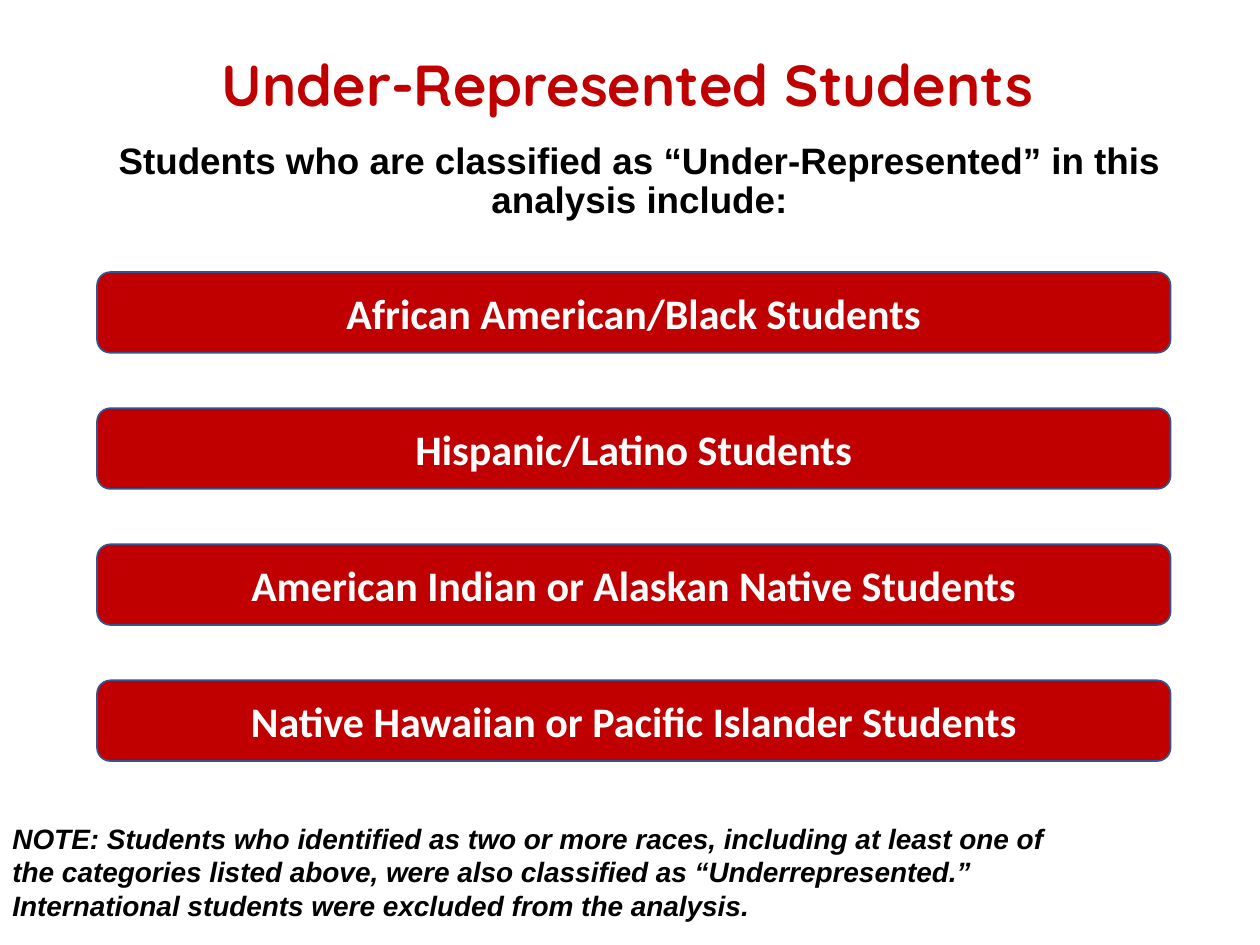
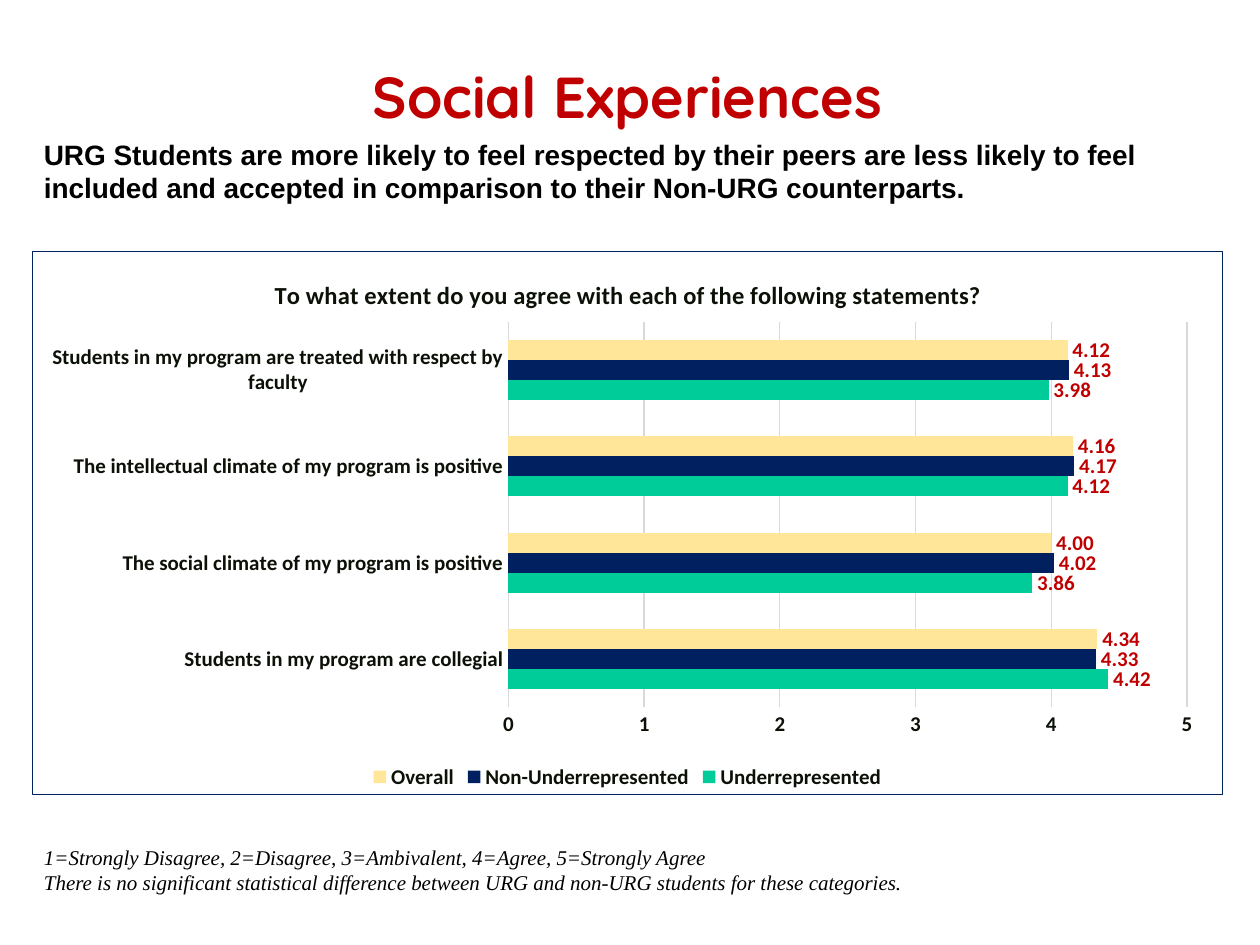
"""Build two slides on under-represented students and their social experiences."""
from dataclasses import dataclass

from lxml import etree
from pptx import Presentation
from pptx.chart.data import CategoryChartData
from pptx.dml.color import RGBColor
from pptx.enum.chart import XL_CHART_TYPE, XL_LABEL_POSITION, XL_LEGEND_POSITION, XL_TICK_MARK
from pptx.enum.shapes import MSO_SHAPE
from pptx.enum.text import MSO_ANCHOR, PP_ALIGN
from pptx.oxml import parse_xml
from pptx.oxml.ns import nsdecls, qn
from pptx.util import Inches, Pt

LEFT, CENTER = PP_ALIGN.LEFT, PP_ALIGN.CENTER
TOP, MIDDLE = MSO_ANCHOR.TOP, MSO_ANCHOR.MIDDLE
ROUNDED = MSO_SHAPE.ROUNDED_RECTANGLE
BAR_CLUSTERED = XL_CHART_TYPE.BAR_CLUSTERED
OUTSIDE_END = XL_LABEL_POSITION.OUTSIDE_END
LEGEND_BOTTOM = XL_LEGEND_POSITION.BOTTOM
NO_TICK = XL_TICK_MARK.NONE

COLORS = {
    "red": "C00000", "black": "000000", "white": "FFFFFF", "outline": "325491",
    "navy": "002060", "green": "00CC99", "cream": "FFE699",
    "ink": "0B1107", "grid": "D9D9D9",
}

FORMATS = {
    "title": {"name": "Quicksand", "size": 33, "bold": True, "color": "red"},
    "intro": {"name": "Arial", "size": 21, "bold": True, "color": "black"},
    "group": {"name": "Calibri", "size": 24, "bold": True, "color": "white"},
    "note": {"name": "Arial", "size": 16, "bold": True, "italic": True, "color": "black"},
    "finding": {"name": "Arial", "size": 16, "bold": True, "color": "black"},
    "scale": {"name": "Times New Roman", "size": 12, "italic": True, "color": "black"},
    "chart": {"name": "Calibri", "size": 10, "color": "black"},
    "chart title": {"name": "Calibri", "size": 14, "bold": True, "color": "ink"},
    "axis": {"name": "Calibri", "size": 12, "bold": True, "color": "ink"},
    "value": {"name": "Calibri", "size": 12, "bold": True, "color": "red"},
}


@dataclass
class Area:
    left: float
    top: float
    width: float
    height: float

    def lengths(self) -> list:
        return [Inches(n) for n in (self.left, self.top, self.width, self.height)]


@dataclass
class TextBlock:
    area: Area
    style: str
    lines: list[str]
    align: PP_ALIGN = LEFT
    anchor: MSO_ANCHOR = TOP
    spacing: float = 1.0


@dataclass
class Series:
    name: str
    color: str
    values: list[float]


GROUPS = [
    "African American/Black Students",
    "Hispanic/Latino Students",
    "American Indian or Alaskan Native Students",
    "Native Hawaiian or Pacific Islander Students",
]
GROUP_LEFT, GROUP_TOP, GROUP_WIDTH, GROUP_HEIGHT, GROUP_STEP = 0.77, 2.16, 8.52, 0.64, 1.08

GROUP_TEXTS = [
    TextBlock(Area(0.25, 1.08, 9.65, 4.68), "intro",
              ["Students who are classified as “Under-Represented” in this analysis include:"],
              CENTER, spacing=0.9),
    TextBlock(Area(0, 6.47, 8.42, 0.91), "note",
              ["NOTE: Students who identified as two or more races, including at least one of "
               "the categories listed above, were also classified as “Underrepresented.” "
               "International students were excluded from the analysis."]),
]

SOCIAL_TEXTS = [
    TextBlock(Area(0.25, 1.04, 9.46, 0.64), "finding",
              ["URG Students are more likely to feel respected by their peers are less likely "
               "to feel included and accepted in comparison to their Non-URG counterparts."]),
    TextBlock(Area(0.25, 6.65, 7.58, 0.5), "scale",
              ["1=Strongly Disagree, 2=Disagree, 3=Ambivalent, 4=Agree, 5=Strongly Agree",
               "There is no significant statistical difference between URG and non-URG "
               "students for these categories."]),
]

CHART_AREA = Area(0.25, 1.99, 9.46, 4.32)
QUESTION = "To what extent do you agree with each of the following statements?"
STATEMENTS = [
    "Students in my program are collegial",
    "The social climate of my program is positive",
    "The intellectual climate of my program is positive",
    "Students in my program are treated with respect by faculty",
]
RATINGS = [
    Series("Underrepresented", "green", [4.42, 3.86, 4.12, 3.98]),
    Series("Non-Underrepresented", "navy", [4.33, 4.02, 4.17, 4.13]),
    Series("Overall", "cream", [4.34, 4, 4.16, 4.12]),
]


def rgb(color: str) -> RGBColor:
    return RGBColor.from_string(COLORS[color])


def set_font(font, style: str) -> None:
    for key, value in FORMATS[style].items():
        if key == "color":
            font.color.rgb = rgb(value)
        else:
            setattr(font, key, Pt(value) if key == "size" else value)


def set_line(line, color: str, width: float) -> None:
    line.color.rgb = rgb(color)
    line.width = Pt(width)


def write_text(frame, block: TextBlock) -> None:
    frame.word_wrap = True
    frame.vertical_anchor = block.anchor
    for index, line in enumerate(block.lines):
        para = frame.paragraphs[0] if index == 0 else frame.add_paragraph()
        para.alignment = block.align
        para.line_spacing = block.spacing
        span = para.add_run()
        span.text = line
        set_font(span.font, block.style)


def add_text(page, block: TextBlock) -> None:
    box = page.shapes.add_textbox(*block.area.lengths())
    write_text(box.text_frame, block)


def add_page(deck, title: str, title_top: float):
    page = deck.slides.add_slide(deck.slide_layouts[6])
    area = Area(0.25, title_top, 9.46, 0.89)
    add_text(page, TextBlock(area, "title", [title], CENTER, MIDDLE, 0.9))
    return page


def add_group(page, block: TextBlock) -> None:
    box = page.shapes.add_shape(ROUNDED, *block.area.lengths())
    box.shadow.inherit = False
    box.fill.solid()
    box.fill.fore_color.rgb = rgb("red")
    set_line(box.line, "outline", 1)
    write_text(box.text_frame, block)


def place_part(part, position: int, inner: bool = False, **fractions: float) -> None:
    for old in part.findall(qn("c:layout")):
        part.remove(old)
    layout = etree.Element(qn("c:layout"))
    manual = etree.SubElement(layout, qn("c:manualLayout"))
    if inner:
        etree.SubElement(manual, qn("c:layoutTarget")).set("val", "inner")
    for axis in "xy":
        etree.SubElement(manual, qn(f"c:{axis}Mode")).set("val", "edge")
    for key, value in fractions.items():
        etree.SubElement(manual, qn(f"c:{key}")).set("val", str(value))
    part.insert(position, layout)


def add_border(chart, color: str, width: float) -> None:
    border = parse_xml(
        f'<c:spPr {nsdecls("c", "a")}><a:noFill/><a:ln w="{Pt(width)}"><a:solidFill>'
        f'<a:srgbClr val="{COLORS[color]}"/></a:solidFill></a:ln></c:spPr>')
    chart.element.find(qn("c:chart")).addnext(border)


def style_axes(chart) -> None:
    for axis in (chart.category_axis, chart.value_axis):
        axis.major_tick_mark = axis.minor_tick_mark = NO_TICK
        set_font(axis.tick_labels.font, "axis")
    set_line(chart.category_axis.format.line, "grid", 0.75)
    scale = chart.value_axis
    scale.minimum_scale, scale.maximum_scale, scale.major_unit = 0, 5, 1
    scale.tick_labels.number_format = "0"
    scale.tick_labels.number_format_is_linked = False
    scale.format.line.fill.background()
    set_line(scale.major_gridlines.format.line, "grid", 0.75)


def style_series(plot) -> None:
    plot.gap_width = 182
    plot.overlap = 0
    plot.vary_by_categories = False
    for bars, rating in zip(plot.series, RATINGS):
        bars.format.fill.solid()
        bars.format.fill.fore_color.rgb = rgb(rating.color)
        labels = bars.data_labels
        labels.show_value = True
        labels.position = OUTSIDE_END
        labels.number_format = "0.00"
        labels.number_format_is_linked = False
        set_font(labels.font, "value")


def add_ratings_chart(page) -> None:
    data = CategoryChartData(number_format="0.00")
    data.categories = STATEMENTS
    for rating in RATINGS:
        data.add_series(rating.name, rating.values)
    chart = page.shapes.add_chart(BAR_CLUSTERED, *CHART_AREA.lengths(), data).chart
    set_font(chart.font, "chart")
    add_border(chart, "navy", 0.75)
    chart.has_title = True
    write_text(chart.chart_title.text_frame,
               TextBlock(CHART_AREA, "chart title", [QUESTION], CENTER, MIDDLE))
    chart.has_legend = True
    chart.legend.position = LEGEND_BOTTOM
    chart.legend.include_in_layout = False
    set_font(chart.legend.font, "axis")
    style_axes(chart)
    style_series(chart.plots[0])
    body = chart.element.find(qn("c:chart"))
    place_part(body.find(qn("c:title")), 1, x=0.2, y=0.04)
    place_part(body.find(qn("c:plotArea")), 0, inner=True, x=0.4, y=0.13, w=0.57, h=0.71)


def build_groups(deck) -> None:
    page = add_page(deck, "Under-Represented Students", 0.25)
    for block in GROUP_TEXTS:
        add_text(page, block)
    for row, group in enumerate(GROUPS):
        area = Area(GROUP_LEFT, GROUP_TOP + row * GROUP_STEP, GROUP_WIDTH, GROUP_HEIGHT)
        add_group(page, TextBlock(area, "group", [group], CENTER, MIDDLE))


def build_social(deck) -> None:
    page = add_page(deck, "Social Experiences", 0.35)
    add_ratings_chart(page)
    for block in SOCIAL_TEXTS:
        add_text(page, block)


def main() -> None:
    deck = Presentation()
    deck.slide_width, deck.slide_height = Inches(10), Inches(7.5)
    build_groups(deck)
    build_social(deck)
    deck.save("out.pptx")


if __name__ == "__main__":
    main()
